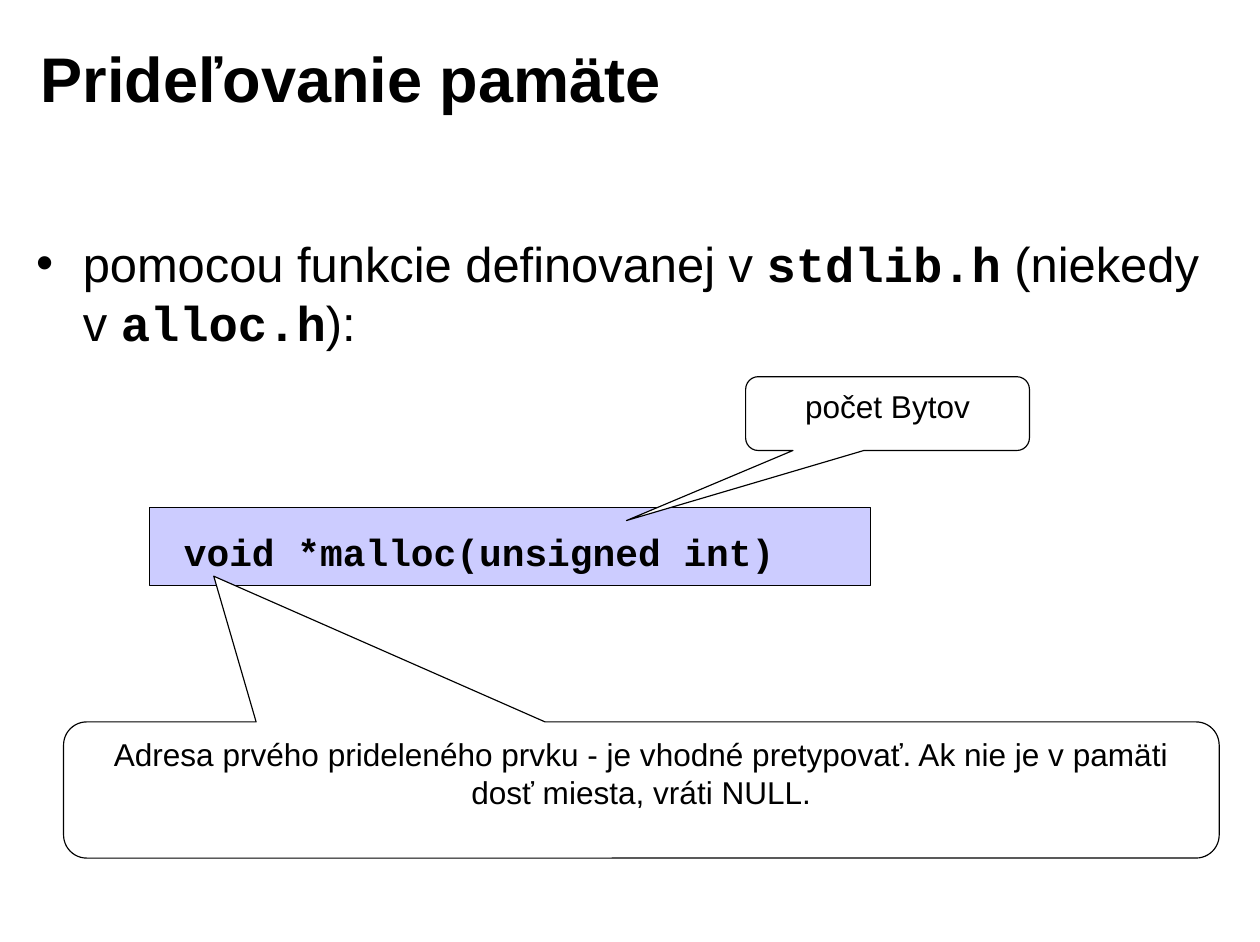
from pptx import Presentation
from pptx.dml.color import RGBColor
from pptx.enum.shapes import MSO_SHAPE as Shape
from pptx.enum.text import MSO_ANCHOR as Anchor, PP_ALIGN as Align
from pptx.oxml.ns import qn
from pptx.util import Pt
from lxml import etree

BLACK = RGBColor(0x00, 0x00, 0x00)
WHITE = RGBColor(0xFF, 0xFF, 0xFF)
LAVENDER = RGBColor(0xCC, 0xCC, 0xFF)
SANS, MONO = "Arial", "Courier New"

# Content: runs are (text, font, bold), boxes are left, top, width, height
TITLE = [("Prideľovanie pamäte", SANS, True)]
BULLET = [
    ("pomocou funkcie definovanej v ", SANS, False),
    ("stdlib.h", MONO, True),
    (" (niekedy v ", SANS, False),
    ("alloc.h", MONO, True),
    ("):", SANS, False),
]
PROTOTYPE = [("void *malloc(unsigned int)", MONO, True)]
CALLOUTS = [
    ("počet Bytov", (473, 239, 180, 46.8), (-0.92, 1.45, 0.17)),
    ("Adresa prvého prideleného prvku - je vhodné pretypovať. "
     "Ak nie je v pamäti dosť miesta, vráti NULL.",
     (40.3, 458, 733, 86.4), (-0.37, -1.57, 0.17)),
]
TITLE_BOX = (18, 12.2, 642.2, 73.4)
BULLET_BOX = (15.1, 144, 767.5, 120.2)
CODE_PANEL = (95, 321.8, 457.2, 49.7)
CODE_BOX = (108.7, 331.2, 437.8, 36)
INDENT = 29.5


def write(shape, runs, size, anchor=Anchor.TOP, align=Align.LEFT):
    frame = shape.text_frame
    frame.word_wrap = True
    frame.vertical_anchor = anchor
    frame.margin_left = frame.margin_right = Pt(7.9)
    frame.margin_top = frame.margin_bottom = Pt(4.3)
    line = frame.paragraphs[0]
    line.alignment = align
    for text, font, bold in runs:
        run = line.add_run()
        run.text = text
        run.font.name, run.font.size, run.font.bold = font, Pt(size), bold
        run.font.color.rgb = BLACK
    return line


def add_bullet(line):
    props = line._p.get_or_add_pPr()
    props.set("marL", str(Pt(INDENT)))
    props.set("indent", str(-Pt(INDENT)))
    etree.SubElement(props, qn("a:buFont"), typeface=SANS)
    etree.SubElement(props, qn("a:buChar"), char="•")


def add_outlined(shapes, kind, box, fill):
    shape = shapes.add_shape(kind, *map(Pt, box))
    shape.shadow.inherit = False
    shape.fill.solid()
    shape.fill.fore_color.rgb = fill
    shape.line.color.rgb = BLACK
    shape.line.width = Pt(0.75)
    return shape


def add_text(shapes, box):
    return shapes.add_textbox(*map(Pt, box))


deck = Presentation()
deck.slide_width, deck.slide_height = Pt(799.2), Pt(597.6)
slide = deck.slides.add_slide(deck.slide_layouts[6])

# Title and bullet
write(add_text(slide.shapes, TITLE_BOX), TITLE, 40, Anchor.MIDDLE)
add_bullet(write(add_text(slide.shapes, BULLET_BOX), BULLET, 31))

# Function prototype on its panel
prototype = slide.shapes.add_group_shape().shapes
add_outlined(prototype, Shape.RECTANGLE, CODE_PANEL, LAVENDER)
write(add_text(prototype, CODE_BOX), PROTOTYPE, 24)

# Callouts pointing at the prototype
for text, box, pointer in CALLOUTS:
    callout = add_outlined(slide.shapes, Shape.ROUNDED_RECTANGULAR_CALLOUT, box, WHITE)
    for index, value in enumerate(pointer):
        callout.adjustments[index] = value
    write(callout, [(text, SANS, False)], 20, align=Align.CENTER)

deck.save("out.pptx")
